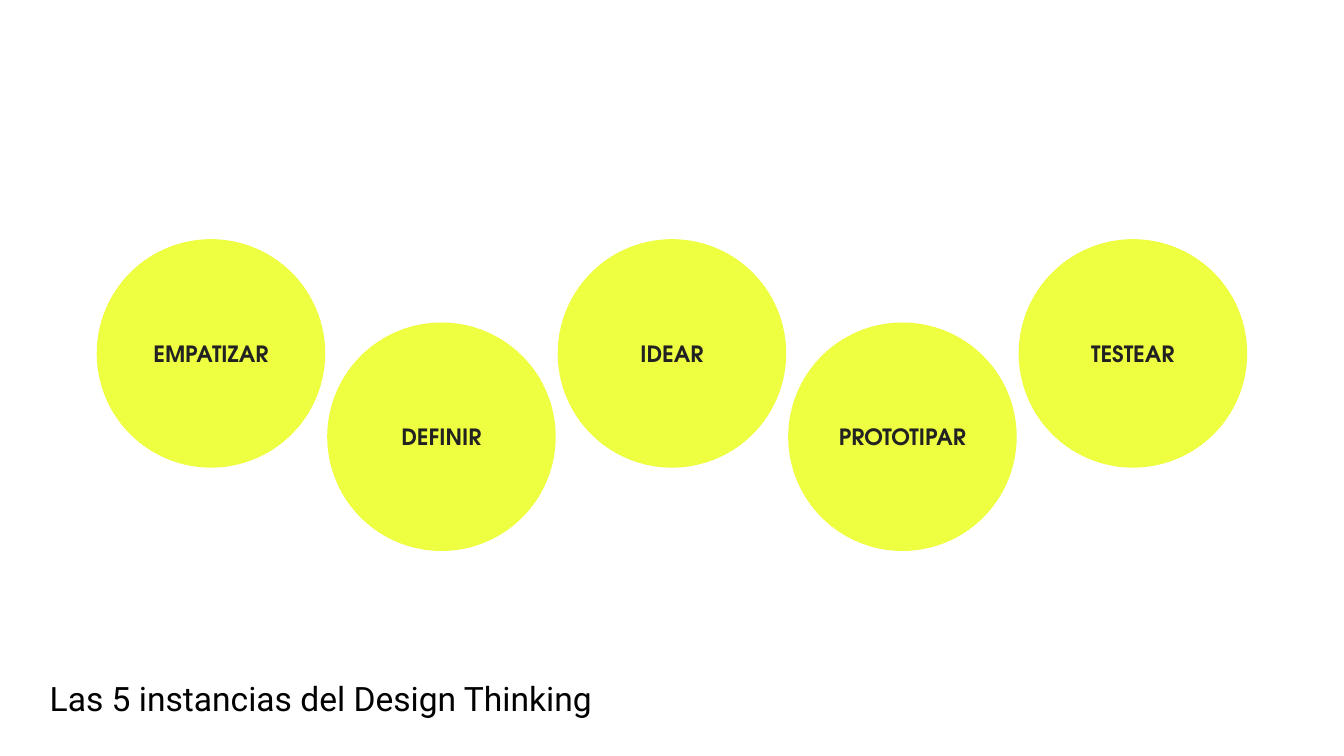
from dataclasses import dataclass

from pptx import Presentation
from pptx import util as u
from pptx.dml.color import RGBColor
from pptx.enum import shapes, text

DIAMETER = 122.4
FIRST_LEFT = 51.84
PITCH = 123.48
ROW_TOPS = (128.16, 172.8)
STAGE_NAMES = ("EMPATIZAR", "DEFINIR", "IDEAR", "PROTOTIPAR", "TESTEAR")


@dataclass(frozen=True)
class Stage:
    name: str
    left: float
    top: float


def color(value: str) -> RGBColor:
    return RGBColor.from_string(value)


def write(sp, words: str, font: str, size: float, ink: str, bold: bool,
          align, inset_x: float, spacing: float = 1.0) -> None:
    """Put one middle-anchored paragraph into the shape."""
    tf = sp.text_frame
    tf.word_wrap = True
    tf.auto_size = text.MSO_AUTO_SIZE.NONE
    tf.vertical_anchor = text.MSO_ANCHOR.MIDDLE
    tf.margin_left = tf.margin_right = u.Pt(inset_x)
    tf.margin_top = tf.margin_bottom = u.Pt(7.2)
    p = tf.paragraphs[0]
    p.alignment = align
    p.line_spacing = spacing
    p.space_before = u.Pt(0)
    r = p.add_run()
    r.text = words
    r.font.name = font
    r.font.size = u.Pt(size)
    r.font.bold = bold
    r.font.color.rgb = color(ink)


def draw_stage(slide, stage: Stage) -> None:
    sp = slide.shapes.add_shape(
        shapes.MSO_SHAPE.OVAL, u.Pt(stage.left), u.Pt(stage.top),
        u.Pt(DIAMETER), u.Pt(DIAMETER))
    sp.shadow.inherit = False
    sp.fill.solid()
    sp.fill.fore_color.rgb = color("EEFF41")
    sp.line.fill.background()
    write(sp, stage.name, "TeX Gyre Adventor", 12, "222222", True,
          text.PP_ALIGN.CENTER, 2.88)


def draw_title(slide, words: str) -> None:
    sp = slide.shapes.title
    sp.left, sp.top = u.Pt(19.44), u.Pt(343.44)
    sp.width, sp.height = u.Pt(576.72), u.Pt(58.32)
    write(sp, words, "Roboto", 18, "000000", False,
          text.PP_ALIGN.LEFT, 7.2, 1.15)


def main() -> None:
    prs = Presentation()
    prs.slide_width, prs.slide_height = u.Pt(720), u.Pt(405)
    slide = prs.slides.add_slide(prs.slide_layouts.get_by_name("Title Only"))
    for i, name in enumerate(STAGE_NAMES):
        draw_stage(slide, Stage(name, FIRST_LEFT + i * PITCH, ROW_TOPS[i % 2]))
    draw_title(slide, "Las 5 instancias del Design Thinking")
    prs.save("out.pptx")


if __name__ == "__main__":
    main()
